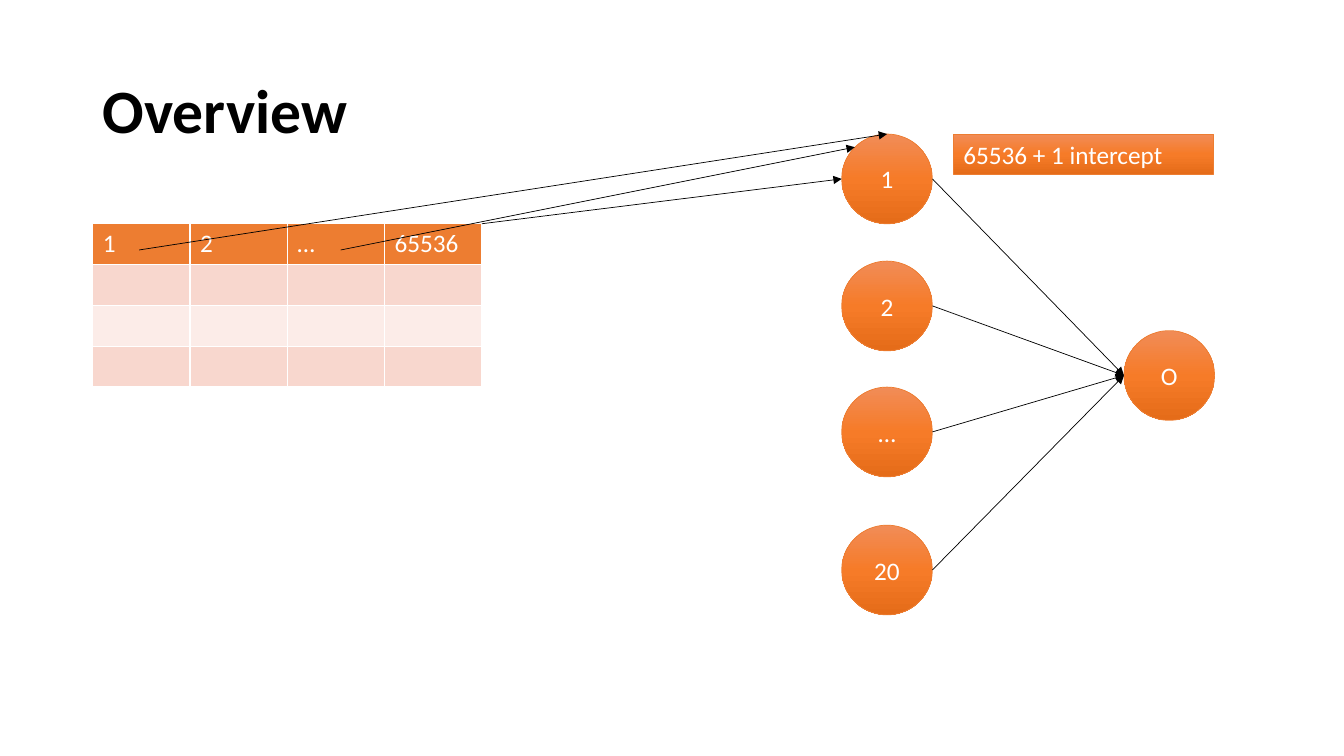
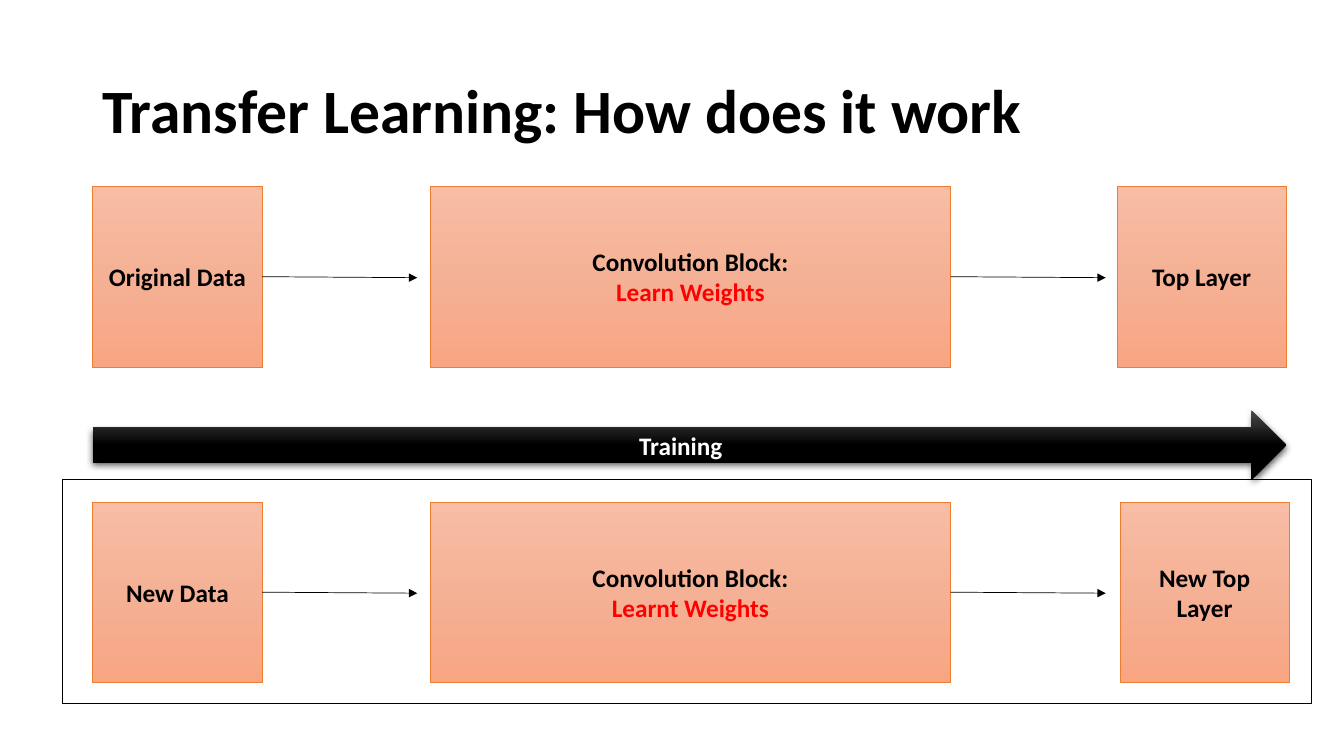
import dataclasses

import pptx
import pptx.dml.color
import pptx.enum.shapes
import pptx.enum.text
import pptx.oxml
import pptx.oxml.ns
import pptx.util
from lxml import etree


@dataclasses.dataclass(frozen=True)
class Theme:
    font: str = "Calibri"
    title_size: int = 44
    body_size: int = 18
    thin: float = 0.5
    frame: float = 1
    black: str = "000000"
    white: str = "FFFFFF"
    red: str = "FF0000"
    orange: str = "ED7D31"
    bands: tuple = ("F8D7CE", "FCECE8")
    node_gradient: tuple = ("F18C57", "F67B28", "E56C19")
    block_gradient: tuple = ("F7BDA5", "F5B196", "F8A582")
    training_gradient: tuple = ("4B4B4B", "000000", "000000")


theme = Theme()
rgb = pptx.dml.color.RGBColor.from_string
qn = pptx.oxml.ns.qn
PRESET = pptx.enum.shapes.MSO_SHAPE
ALIGN = pptx.enum.text.PP_ALIGN
ANCHOR = pptx.enum.text.MSO_ANCHOR
A_NAMESPACE = pptx.oxml.ns.nsdecls("a")

# The grid: columns and rows of a tenth of an inch
GRID = pptx.util.Inches(0.1)
SLIDE_COLUMNS, SLIDE_ROWS = 133.33, 75
MARGIN = 9.2


def add_block(slide, preset, box, gradient, lines, outline=theme.orange, bold=False):
    """Add a gradient shape; lines holds (text, colour) pairs, one a paragraph."""
    shape = slide.shapes.add_shape(preset, *(round(side * GRID) for side in box))
    shape.shadow.inherit = False
    shape.fill.gradient()
    shape.fill.gradient_angle = 270
    stops = shape.element.spPr.find(qn("a:gradFill")).find(qn("a:gsLst"))
    stops.clear()
    for position, colour in zip((0, 50000, 100000), gradient):
        stop = etree.SubElement(stops, qn("a:gs"), pos=str(position))
        etree.SubElement(stop, qn("a:srgbClr"), val=colour)
    if outline:
        shape.line.color.rgb = rgb(outline)
        shape.line.width = pptx.util.Pt(theme.thin)
    else:
        shape.line.fill.background()
    frame = shape.text_frame
    frame.word_wrap = True
    frame.vertical_anchor = ANCHOR.MIDDLE
    for index, (text, colour) in enumerate(lines):
        paragraph = frame.add_paragraph() if index else frame.paragraphs[0]
        paragraph.text = text
        paragraph.alignment = ALIGN.CENTER
        paragraph.font.name = theme.font
        paragraph.font.size = pptx.util.Pt(theme.body_size)
        paragraph.font.bold = bold
        paragraph.font.color.rgb = rgb(colour)
    return shape


def add_arrow(slide, begin, end):
    """Add a thin arrow between two (column, row) points."""
    connector = slide.shapes.add_connector(
        pptx.enum.shapes.MSO_CONNECTOR.STRAIGHT,
        *(round(value * GRID) for value in (*begin, *end)))
    connector.line.color.rgb = rgb(theme.black)
    connector.line.width = pptx.util.Pt(theme.thin)
    etree.SubElement(connector.get_or_add_ln(), qn("a:tailEnd"), type="triangle")
    etree.SubElement(connector.element.spPr, qn("a:effectLst"))
    return connector


presentation = pptx.Presentation()
presentation.slide_width = round(SLIDE_COLUMNS * GRID)
presentation.slide_height = round(SLIDE_ROWS * GRID)

# Slides with their titles
slides = []
for title in ("Overview", "Transfer Learning: How does it work"):
    slide = presentation.slides.add_slide(presentation.slide_layouts[6])
    title_box = slide.shapes.add_textbox(
        *(round(side * GRID) for side in (MARGIN, 4, 115, 14.5)))
    title_box.text_frame.word_wrap = True
    title_box.text_frame.vertical_anchor = ANCHOR.MIDDLE
    paragraph = title_box.text_frame.paragraphs[0]
    paragraph.text = title
    paragraph.line_spacing = 0.9
    paragraph.font.name = theme.font
    paragraph.font.size = pptx.util.Pt(theme.title_size)
    paragraph.font.bold = True
    paragraph.font.color.rgb = rgb(theme.black)
    slides.append(slide)
overview, transfer = slides

# Overview: table of inputs
headers = ("1", "2", "…", "65536")
table_top, table_width, table_height = 22.2, 38.6, 16.2
table = overview.shapes.add_table(
    4, len(headers),
    *(round(side * GRID) for side in (MARGIN, table_top, table_width, table_height))).table
for row_index, row in enumerate(table.rows):
    for column_index, cell in enumerate(row.cells):
        for edge in ("lnL", "lnR", "lnT", "lnB"):
            cell._tc.get_or_add_tcPr().append(pptx.oxml.parse_xml(
                f'<a:{edge} {A_NAMESPACE} w="12700"><a:solidFill>'
                f'<a:srgbClr val="{theme.white}"/></a:solidFill></a:{edge}>'))
        cell.fill.solid()
        cell.fill.fore_color.rgb = rgb(
            theme.bands[(row_index - 1) % 2] if row_index else theme.orange)
        paragraph = cell.text_frame.paragraphs[0]
        paragraph.text = "" if row_index else headers[column_index]
        paragraph.font.name = theme.font
        paragraph.font.size = pptx.util.Pt(theme.body_size)
        paragraph.font.bold = False
        paragraph.font.color.rgb = rgb(theme.white)

# Overview: hidden nodes and the output node
node_width, node_height = 9, 8.9
hidden_left, output_left, output_top = 83.5, 111.5, 32.8
hidden_nodes = (("1", 13.3), ("2", 25.9), ("…", 38.4), ("20", 52.1))
first_top = hidden_nodes[0][1]
for label, left, top in (*((label, hidden_left, top) for label, top in hidden_nodes),
                         ("O", output_left, output_top)):
    add_block(overview, PRESET.OVAL, (left, top, node_width, node_height),
              theme.node_gradient, [(label, theme.white)])

# Overview: arrows from the inputs to the first node, then on to the output
for begin, end in (
        ((MARGIN + table_width, table_top), (hidden_left, first_top + node_height / 2)),
        ((33.8, 24.8), (84.8, 14.6)),
        ((13.8, 24.8), (hidden_left + node_width / 2, first_top))):
    add_arrow(overview, begin, end)
for label, top in hidden_nodes:
    add_arrow(overview, (hidden_left + node_width, top + node_height / 2),
              (output_left, output_top + node_height / 2))

# Overview: weight count
weight_count = add_block(overview, PRESET.RECTANGLE, (94.6, first_top, 25.8, 4),
                         theme.node_gradient, [("65536 + 1 intercept", theme.white)])
weight_count.text_frame.vertical_anchor = ANCHOR.TOP
weight_count.text_frame.auto_size = pptx.enum.text.MSO_AUTO_SIZE.SHAPE_TO_FIT_TEXT
weight_count.text_frame.paragraphs[0].alignment = ALIGN.LEFT

# Transfer learning: one row of blocks for each data set
block_height, side_width = 17.9, 16.8
for top, last_left, data, weights, layer in (
        (18.5, 110.8, "Original Data", "Learn Weights", "Top Layer"),
        (49.8, 111.1, "New Data", "Learnt Weights", "New Top Layer")):
    blocks = [
        add_block(transfer, PRESET.RECTANGLE, (left, top, width, block_height),
                  theme.block_gradient, lines, bold=True)
        for left, width, lines in (
            (MARGIN, side_width, [(data, theme.black)]),
            (42.7, 51.6, [("Convolution Block:", theme.black), (weights, theme.red)]),
            (last_left, side_width, [(layer, theme.black)]))]
    middle = top + block_height / 2
    for block, begin, end in zip(blocks, (25.9, 94.2), (41.4, 109.7)):
        arrow = add_arrow(transfer, (begin, middle), (end, middle + 0.1))
        arrow.begin_connect(block, 3)

# Transfer learning: training arrow with its shadow
training = add_block(transfer, PRESET.RIGHT_ARROW, (MARGIN, 40.7, 118.4, 6.9),
                     theme.training_gradient, [("Training", theme.white)],
                     outline=None, bold=True)
training.element.spPr.find(qn("a:effectLst")).append(pptx.oxml.parse_xml(
    f'<a:outerShdw {A_NAMESPACE} blurRad="57150" dist="19050" dir="5400000" '
    f'algn="ctr" rotWithShape="0"><a:srgbClr val="{theme.black}">'
    '<a:alpha val="63000"/></a:srgbClr></a:outerShdw>'))

# Transfer learning: frame around the new data row
row_frame = transfer.shapes.add_shape(
    PRESET.RECTANGLE, *(round(side * GRID) for side in (6.2, 47.6, 123.9, 22.2)))
row_frame.shadow.inherit = False
row_frame.fill.background()
row_frame.line.color.rgb = rgb(theme.black)
row_frame.line.width = pptx.util.Pt(theme.frame)

presentation.save("out.pptx")
